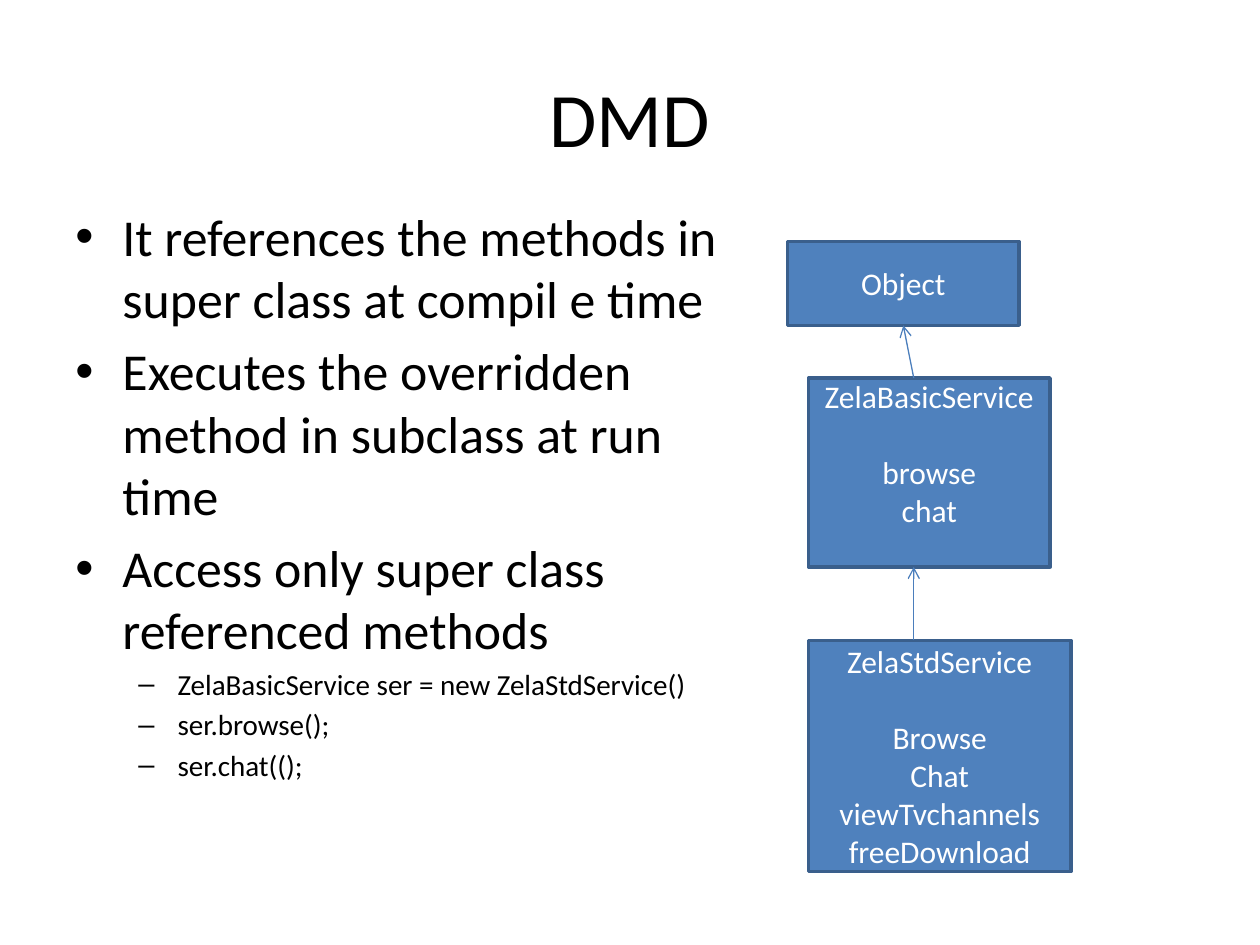
from dataclasses import dataclass
from lxml.etree import SubElement
from pptx import Presentation
from pptx.dml.color import RGBColor
from pptx.enum.shapes import MSO_CONNECTOR, MSO_SHAPE
from pptx.enum.text import MSO_ANCHOR, PP_ALIGN
from pptx.oxml.ns import qn
from pptx.util import Cm, Pt


@dataclass(frozen=True)
class Theme:
    font: str = "Calibri"
    ink: RGBColor = RGBColor.from_string("000000")
    paper: RGBColor = RGBColor.from_string("FFFFFF")
    fill: RGBColor = RGBColor.from_string("4F81BD")
    border: RGBColor = RGBColor.from_string("3A5F8C")
    arrow: RGBColor = RGBColor.from_string("4B7EBC")
    title: float = 44
    point: float = 29.6
    code: float = 16.6
    label: float = 18


theme = Theme()


def write(frame, index, text, size, color, align):
    para = frame.paragraphs[0] if index == 0 else frame.add_paragraph()
    para.text = text
    para.alignment = align
    para.font.name = theme.font
    para.font.size = Pt(size)
    para.font.color.rgb = color
    return para


deck = Presentation()
deck.slide_width, deck.slide_height = Cm(25.4), Cm(19.05)
page = deck.slides.add_slide(deck.slide_layouts[6])

title = page.shapes.add_textbox(Cm(1.27), Cm(0.76), Cm(22.86), Cm(3.18)).text_frame
title.word_wrap = True
title.vertical_anchor = MSO_ANCHOR.MIDDLE
write(title, 0, "DMD", theme.title, theme.ink, PP_ALIGN.CENTER)

body = page.shapes.add_textbox(Cm(1.27), Cm(4), Cm(14.17), Cm(12.57)).text_frame
body.word_wrap = True
points = [
    (0, "It references the methods in super class at compil e time"),
    (0, "Executes the overridden method in subclass at run time"),
    (0, "Access only super class referenced methods"),
    (1, "ZelaBasicService ser = new ZelaStdService()"),
    (1, "ser.browse();"),
    (1, "ser.chat(();"),
]
levels = [
    (theme.point, "•", Cm(0.95), Cm(0.95)),
    (theme.code, "–", Cm(2.06), Cm(0.79)),
]
for index, (level, text) in enumerate(points):
    size, mark, margin, hanging = levels[level]
    para = write(body, index, text, size, theme.ink, PP_ALIGN.LEFT)
    para.level = level
    para.space_before = Pt(round(size * 0.2, 1))
    properties = para._p.get_or_add_pPr()
    properties.set("marL", str(margin))
    properties.set("indent", str(-hanging))
    bullet_font = SubElement(properties, qn("a:buFont"))
    bullet_font.set("typeface", "Arial")
    bullet = SubElement(properties, qn("a:buChar"))
    bullet.set("char", mark)
    defaults = properties.find(qn("a:defRPr"))
    if defaults is not None:
        properties.append(defaults)

blank_line = Pt(22)
classes = [
    ("Object", [], 15.88, 4.87, 4.66, 1.69, 0),
    ("ZelaBasicService", ["browse", "chat"], 16.3, 7.62, 4.87, 3.81, blank_line),
    (
        "ZelaStdService",
        ["Browse", "Chat", "viewTvchannels", "freeDownload"],
        16.3, 12.91, 5.29, 4.66, 0,
    ),
]
boxes = []
for name, methods, left, top, width, height, space_below in classes:
    box = page.shapes.add_shape(
        MSO_SHAPE.RECTANGLE, Cm(left), Cm(top), Cm(width), Cm(height)
    )
    box.shadow.inherit = False
    box.fill.solid()
    box.fill.fore_color.rgb = theme.fill
    box.line.color.rgb = theme.border
    box.line.width = Pt(2)
    frame = box.text_frame
    frame.word_wrap = True
    frame.vertical_anchor = MSO_ANCHOR.MIDDLE
    frame.margin_bottom = Cm(0.13) + space_below
    for index, text in enumerate([name, *methods]):
        para = write(frame, index, text, theme.label, theme.paper, PP_ALIGN.CENTER)
        if index == 0 and methods:
            para.space_after = blank_line
    boxes.append(box)

object_box, basic_box, standard_box = boxes
arrow_x = Cm(18.42)
object_middle = object_box.left + object_box.width // 2
arrows = [
    (standard_box, basic_box, arrow_x),
    (basic_box, object_box, object_middle),
]
for child, parent, end_x in arrows:
    arrow = page.shapes.add_connector(
        MSO_CONNECTOR.STRAIGHT, arrow_x, child.top, end_x, parent.top + parent.height
    )
    if end_x == object_middle:
        arrow.end_connect(parent, 2)
    arrow.line.color.rgb = theme.arrow
    arrow.line.width = Pt(0.75)
    SubElement(arrow.line._get_or_add_ln(), qn("a:tailEnd")).set("type", "arrow")
    SubElement(arrow._element.spPr, qn("a:effectLst"))

deck.save("out.pptx")
